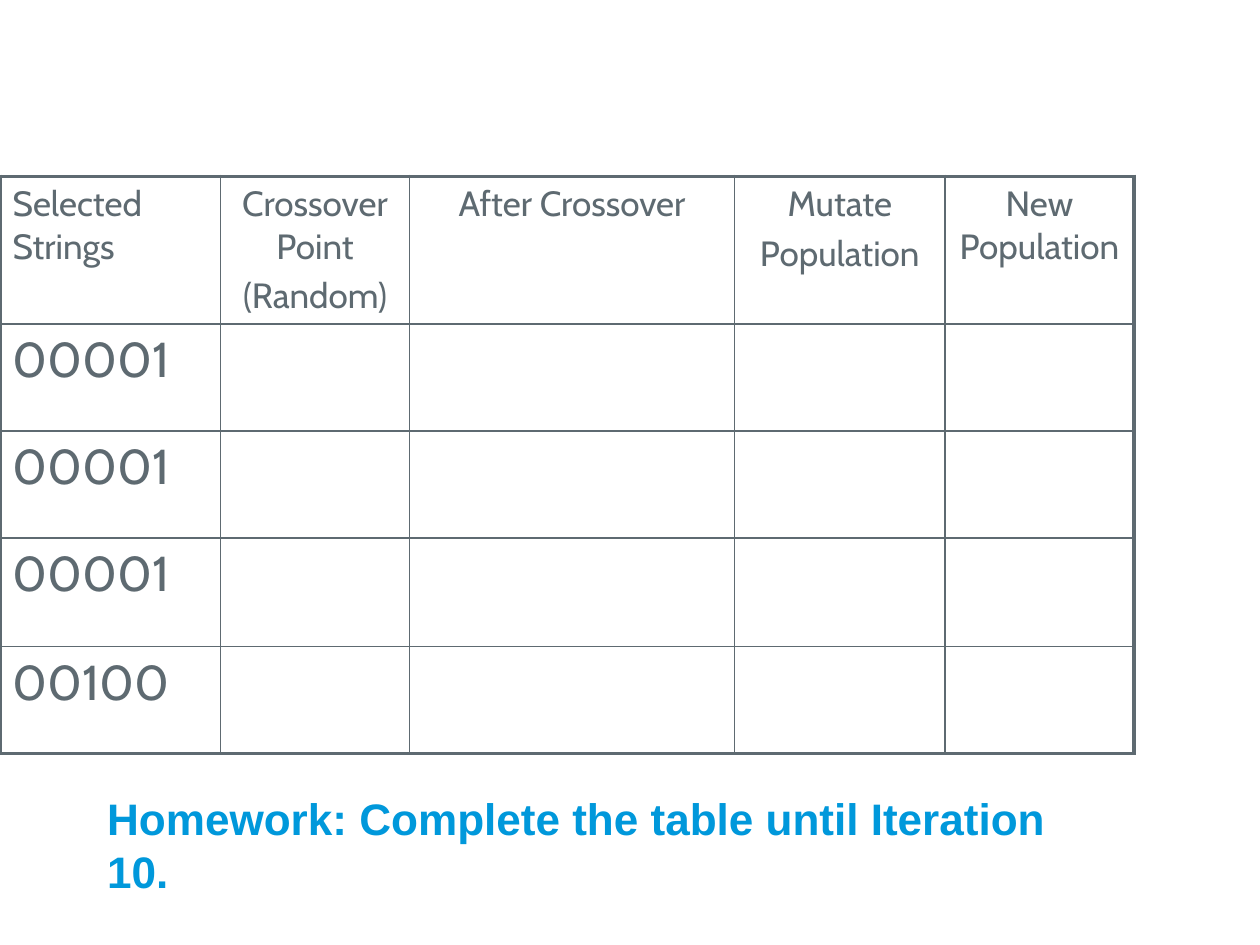
from dataclasses import dataclass

from lxml.etree import SubElement
from pptx import Presentation
from pptx.dml.color import RGBColor
from pptx.enum.text import MSO_ANCHOR as Anchor, MSO_AUTO_SIZE as AutoSize, PP_ALIGN as Align
from pptx.oxml.ns import qn
from pptx.util import Inches, Pt

SLATE = "5E6A71"
BLUE = "0098DB"
THIN, THICK = 1, 2.25
ROW_HEIGHTS = [1.1, 0.85, 0.85, 0.86, 0.85]
SELECTED_STRINGS = ["00001", "00001", "00001", "00100"]


@dataclass
class Column:
    heading: str
    width: float
    align: Align = Align.CENTER


COLUMNS = [
    Column("Selected Strings", 1.75, Align.LEFT),
    Column("Crossover Point\n(Random)", 1.5),
    Column("After Crossover", 2.58),
    Column("Mutate\nPopulation", 1.67),
    Column("New Population", 1.5),
]


def style_font(font, name: str, size: float, color: str, bold: bool = False) -> None:
    font.name = name
    font.size = Pt(size)
    font.bold = bold
    font.color.rgb = RGBColor.from_string(color)


def write_cell(cell, text: str, size: float, align: Align) -> None:
    cell.text_frame.text = text
    for index, paragraph in enumerate(cell.text_frame.paragraphs):
        paragraph.alignment = align
        if index:
            paragraph.space_before = Pt(size * 0.2)
        for run in paragraph.runs:
            style_font(run.font, "Cabin", size, SLATE)


def border_cell(cell, widths: dict[str, float]) -> None:
    properties = cell._tc.get_or_add_tcPr()
    for index, (side, width) in enumerate(widths.items()):
        line = properties.makeelement(qn(f"a:{side}"), {"w": str(Pt(width))})
        fill = SubElement(line, qn("a:solidFill"))
        SubElement(fill, qn("a:srgbClr"), val=SLATE)
        properties.insert(index, line)


def add_population_table(slide) -> None:
    row_count, column_count = len(ROW_HEIGHTS), len(COLUMNS)
    table = slide.shapes.add_table(
        row_count, column_count, Inches(0), Inches(1.4), Inches(9), Inches(4.58)
    ).table
    table.first_row = False
    table.horz_banding = False
    for row, height in zip(table.rows, ROW_HEIGHTS):
        row.height = Inches(height)
    for index, column in enumerate(COLUMNS):
        table.columns[index].width = Inches(column.width)
        write_cell(table.cell(0, index), column.heading, 20, column.align)
    for index, bits in enumerate(SELECTED_STRINGS, start=1):
        write_cell(table.cell(index, 0), bits, 28, Align.LEFT)
    for r in range(row_count):
        for c in range(column_count):
            cell = table.cell(r, c)
            cell.fill.background()
            border_cell(cell, {
                "lnL": THICK if c == 0 else THIN,
                "lnR": THICK if c == column_count - 1 else THIN,
                "lnT": THICK if r == 0 else THIN,
                "lnB": THICK if r == row_count - 1 else THIN,
            })


def add_homework(slide) -> None:
    homework = slide.shapes.title
    homework.left, homework.top = Inches(0.75), Inches(6.42)
    homework.width, homework.height = Inches(7.67), Inches(0.75)
    frame = homework.text_frame
    frame.text = "Homework: Complete the table until Iteration 10."
    frame.word_wrap = True
    frame.auto_size = AutoSize.NONE
    frame.vertical_anchor = Anchor.BOTTOM
    frame.paragraphs[0].alignment = Align.LEFT
    style_font(frame.paragraphs[0].runs[0].font, "Arial", 25.2, BLUE, bold=True)


def main() -> None:
    deck = Presentation()
    deck.slide_width, deck.slide_height = Inches(10), Inches(7.5)
    slide = deck.slides.add_slide(deck.slide_layouts[5])
    add_homework(slide)
    add_population_table(slide)
    deck.save("out.pptx")


if __name__ == "__main__":
    main()
